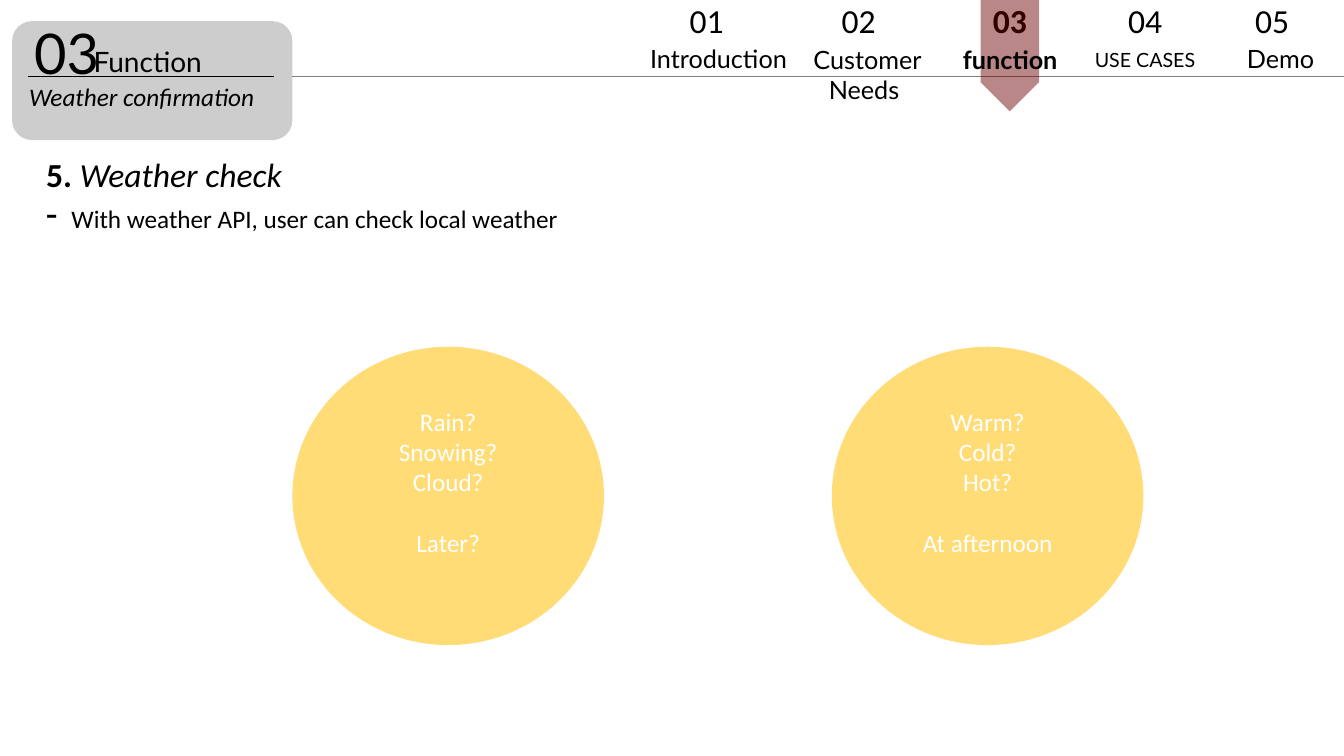
"""Build the weather check slide with its section navigation and two question circles."""
from lxml import etree
from pptx import Presentation
from pptx.dml.color import RGBColor
from pptx.enum.shapes import MSO_CONNECTOR, MSO_SHAPE
from pptx.enum.text import MSO_ANCHOR, PP_ALIGN
from pptx.oxml.ns import qn
from pptx.util import Inches, Pt

BLACK = RGBColor(0x00, 0x00, 0x00)
WHITE = RGBColor(0xFF, 0xFF, 0xFF)
GRAY = RGBColor(0x80, 0x80, 0x80)
CHARCOAL = RGBColor(0x18, 0x17, 0x17)
MAROON = RGBColor(0x6C, 0x00, 0x00)
AMBER = RGBColor(0xFF, 0xC0, 0x00)
LEFT, CENTER = PP_ALIGN.LEFT, PP_ALIGN.CENTER
MIDDLE = MSO_ANCHOR.MIDDLE
STRAIGHT = MSO_CONNECTOR.STRAIGHT
ROUNDED, PENTAGON, OVAL = MSO_SHAPE.ROUNDED_RECTANGLE, MSO_SHAPE.PENTAGON, MSO_SHAPE.OVAL
SLIDE_WIDTH, SLIDE_HEIGHT = 13.33, 7.5
RULE_TOP = 0.76

presentation = Presentation()
presentation.slide_width = Inches(SLIDE_WIDTH)
presentation.slide_height = Inches(SLIDE_HEIGHT)
slide = presentation.slides.add_slide(presentation.slide_layouts[6])


def add_text(text, box, size, font_name, align=LEFT, bold=False, italic=False):
    """Add a wrapped one-paragraph text box and return its text frame."""
    frame = slide.shapes.add_textbox(*map(Inches, box)).text_frame
    frame.word_wrap = True
    paragraph = frame.paragraphs[0]
    paragraph.text = text
    paragraph.alignment = align
    font = paragraph.font
    font.name, font.size, font.color.rgb = font_name, Pt(size), BLACK
    font.bold, font.italic = bold, italic
    return frame


def add_tinted_shape(kind, box, color, opacity):
    """Add a borderless preset shape with a see-through fill."""
    shape = slide.shapes.add_shape(kind, *map(Inches, box))
    shape.shadow.inherit = False
    shape.line.fill.background()
    shape.fill.solid()
    shape.fill.fore_color.rgb = color
    color_element = shape._element.spPr.find(qn("a:solidFill"))[0]
    etree.SubElement(color_element, qn("a:alpha"), val=str(opacity * 1000))
    return shape


add_tinted_shape(ROUNDED, (0.12, 0.21, 2.78, 1.18), CHARCOAL, 21)
for start, end, color in [(2.9, SLIDE_WIDTH, GRAY), (0.28, 2.72, BLACK)]:
    rule = slide.shapes.add_connector(
        STRAIGHT, Inches(start), Inches(RULE_TOP), Inches(end), Inches(RULE_TOP))
    rule.line.color.rgb = color
    rule.line.width = Pt(0.5)
    etree.SubElement(rule._element.spPr, qn("a:effectLst"))

add_text("Weather confirmation", (0.19, RULE_TOP, 2.63, 0.4), 18, "Calibri", italic=True)
add_text("Function", (0.83, 0.39, 2.33, 0.44), 20, "Lato")
add_text("03", (0.24, 0.13, 1.14, 0.77), 40, "Lato")

sections = [
    (6.74, "Introduction", 6.35, 0.38, 1.64, 18, LEFT),
    (8.25, " Customer Needs", 7.77, 0.39, 1.6, 18, CENTER),
    (9.75, "function", 9.35, 0.39, 1.34, 18, CENTER),
    (11.09, "USE CASES", 10.76, 0.43, 1.34, 14, LEFT),
    (12.35, "Demo", 12.03, 0.38, 1.34, 18, CENTER),
]
current_section = 3
for number, section in enumerate(sections, start=1):
    add_text(f"{number:02d}", (section[0], -0.05, 0.75, 0.5), 24, "Calibri",
             bold=number == current_section)

marker = add_tinted_shape(PENTAGON, (9.46, 0.26, 1.11, 0.58), MAROON, 47)
marker.rotation = 90

for number, (_, label, left, top, width, size, align) in enumerate(sections, start=1):
    add_text(label, (left, top, width, 0.4), size, "Lato", align,
             bold=number == current_section)

body = add_text("5.", (0.36, 1.48, 12.37, 0.91), 24, "Calibri")
heading = body.paragraphs[0]
heading.runs[0].font.bold = True
title_run = heading.add_run()
title_run.text = " Weather check"
title_run.font.italic = True

detail = body.add_paragraph()
detail.text = "With weather API, user can check local weather"
detail.space_before = Pt(6)
detail.font.name, detail.font.size, detail.font.color.rgb = "Calibri", Pt(18), BLACK
properties = detail._p.get_or_add_pPr()
indent = Inches(0.25)
properties.set("marL", str(indent))
properties.set("indent", str(-indent))
bullet_size = etree.Element(qn("a:buSzPct"), val="133000")
bullet = etree.Element(qn("a:buChar"), char="-")
properties.find(qn("a:defRPr")).addprevious(bullet_size)
bullet_size.addnext(bullet)

circles = [
    (2.9, ["Rain?", "Snowing?", "Cloud?", "Later?"]),
    (8.25, ["Warm?", "Cold?", "Hot?", "At afternoon"]),
]
for left, questions in circles:
    circle = add_tinted_shape(OVAL, (left, 3.44, 3.09, 2.96), AMBER, 54)
    frame = circle.text_frame
    frame.word_wrap = True
    frame.vertical_anchor = MIDDLE
    frame.margin_bottom = Inches(0.33)
    frame.text = "\n".join(questions)
    for paragraph in frame.paragraphs:
        paragraph.alignment = CENTER
        font = paragraph.font
        font.name, font.size, font.color.rgb = "Calibri", Pt(18), WHITE
    frame.paragraphs[-1].space_before = Pt(22)

presentation.save("out.pptx")
